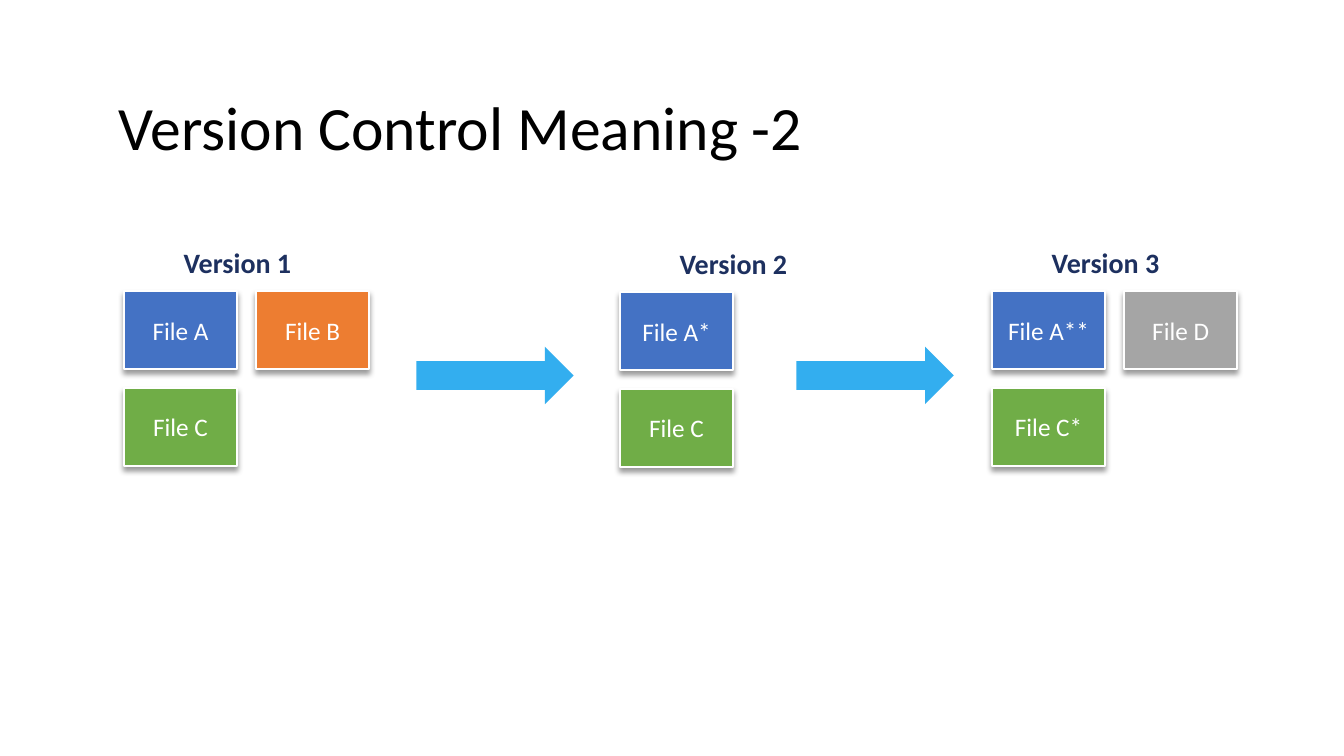
"""Build a slide that shows files changing across three versions."""
from dataclasses import dataclass
from typing import Any

from lxml import etree
from pptx import Presentation
from pptx.dml.color import RGBColor
from pptx.enum.shapes import MSO_SHAPE
from pptx.enum.text import MSO_ANCHOR, PP_ALIGN
from pptx.oxml.ns import qn
from pptx.util import Inches, Pt

RECT, ARROW = MSO_SHAPE.RECTANGLE, MSO_SHAPE.RIGHT_ARROW
MIDDLE, TOP = MSO_ANCHOR.MIDDLE, MSO_ANCHOR.TOP
LEFT, CENTER = PP_ALIGN.LEFT, PP_ALIGN.CENTER


@dataclass(frozen=True)
class Theme:
    """Hold the font, type sizes and colours."""
    font: str = "Calibri"
    title: int = 44
    label: int = 20
    file: int = 18
    black: str = "000000"
    white: str = "FFFFFF"
    navy: str = "1D305F"
    sky: str = "33AEEF"
    blue: str = "4472C4"
    orange: str = "ED7D31"
    green: str = "70AD47"
    gray: str = "A5A5A5"


@dataclass(frozen=True)
class File:
    """Describe a file box by its grid cell."""
    name: str
    fill: str
    col: int
    row: int


@dataclass(frozen=True)
class Version:
    """Describe a version and its files."""
    name: str
    left: float
    top: float
    files: tuple[File, ...]


THEME = Theme()
BOX_W, BOX_H = 1.12, 0.77
STEP_X, STEP_Y = 1.31, 0.96
VERSIONS = (
    Version("Version 1", 1.23, 2.89, (
        File("File A", THEME.blue, 0, 0),
        File("File B", THEME.orange, 1, 0),
        File("File C", THEME.green, 0, 1))),
    Version("Version 2", 6.15, 2.9, (
        File("File A*", THEME.blue, 0, 0),
        File("File C", THEME.green, 0, 1))),
    Version("Version 3", 9.84, 2.89, (
        File("File A**", THEME.blue, 0, 0),
        File("File D", THEME.gray, 1, 0),
        File("File C*", THEME.green, 0, 1))),
)
ARROWS = (4.13, 7.9)


def apply(target: Any, values: dict[str, Any]) -> None:
    """Set each named value on the target."""
    for name, value in values.items():
        setattr(target, name, value)


def write(shape: Any, text: str, size: int, color: str, bold: bool = False,
          align: Any = CENTER, anchor: Any = MIDDLE, pitch: float = 1.0) -> None:
    """Put one formatted line of text in a shape."""
    frame = shape.text_frame
    apply(frame, {"word_wrap": True, "vertical_anchor": anchor})
    line = frame.paragraphs[0]
    apply(line, {"alignment": align, "line_spacing": pitch})
    run = line.add_run()
    run.text = text
    apply(run.font, {"name": THEME.font, "size": Pt(size), "bold": bold})
    run.font.color.rgb = RGBColor.from_string(color)


def add_block(shapes: Any, kind: Any, at: tuple[float, ...], fill: str) -> Any:
    """Add a flat filled shape without a line."""
    shape = shapes.add_shape(kind, *map(Inches, at))
    shape.shadow.inherit = False
    shape.fill.solid()
    shape.fill.fore_color.rgb = RGBColor.from_string(fill)
    shape.line.fill.background()
    return shape


def add_label(shapes: Any, at: tuple[float, ...], text: str, size: int,
              color: str, **format: Any) -> None:
    """Add a text box with one line."""
    write(shapes.add_textbox(*map(Inches, at)), text, size, color, **format)


def add_shade(shape: Any) -> None:
    """Give a shape a soft shadow below it."""
    effects = shape.element.spPr.find(qn("a:effectLst"))
    shade = etree.SubElement(effects, qn("a:outerShdw"), {
        "blurRad": str(int(Pt(4))), "dist": str(int(Pt(3))),
        "dir": "5400000", "algn": "ctr", "rotWithShape": "0"})
    color = etree.SubElement(shade, qn("a:srgbClr"), val=THEME.black)
    etree.SubElement(color, qn("a:alpha"), val="40000")


def add_version(shapes: Any, version: Version) -> None:
    """Add a group of file boxes under a version label."""
    group = shapes.add_group_shape().shapes
    for file in version.files:
        at = (version.left + file.col * STEP_X,
              version.top + file.row * STEP_Y, BOX_W, BOX_H)
        box = add_block(group, RECT, at, file.fill)
        box.line.color.rgb = RGBColor.from_string(THEME.white)
        box.line.width = Pt(1.5)
        add_shade(box)
        write(box, file.name, THEME.file, THEME.white)
    add_label(group, (version.left + 0.41, version.top - 0.5, 1.43, 0.44),
              version.name, THEME.label, THEME.navy, bold=True, anchor=TOP)


def main() -> None:
    """Build and save the slide."""
    deck = Presentation()
    apply(deck, {"slide_width": Inches(13.33), "slide_height": Inches(7.5)})
    shapes = deck.slides.add_slide(deck.slide_layouts[6]).shapes
    add_label(shapes, (1.08, 0.57, 11.5, 1.45), "Version Control Meaning -2",
              THEME.title, THEME.black, align=LEFT, anchor=MIDDLE, pitch=0.9)
    for version in VERSIONS:
        add_version(shapes, version)
    for left in ARROWS:
        add_block(shapes, ARROW, (left, 3.44, 1.56, 0.57), THEME.sky)
    deck.save("out.pptx")


if __name__ == "__main__":
    main()
